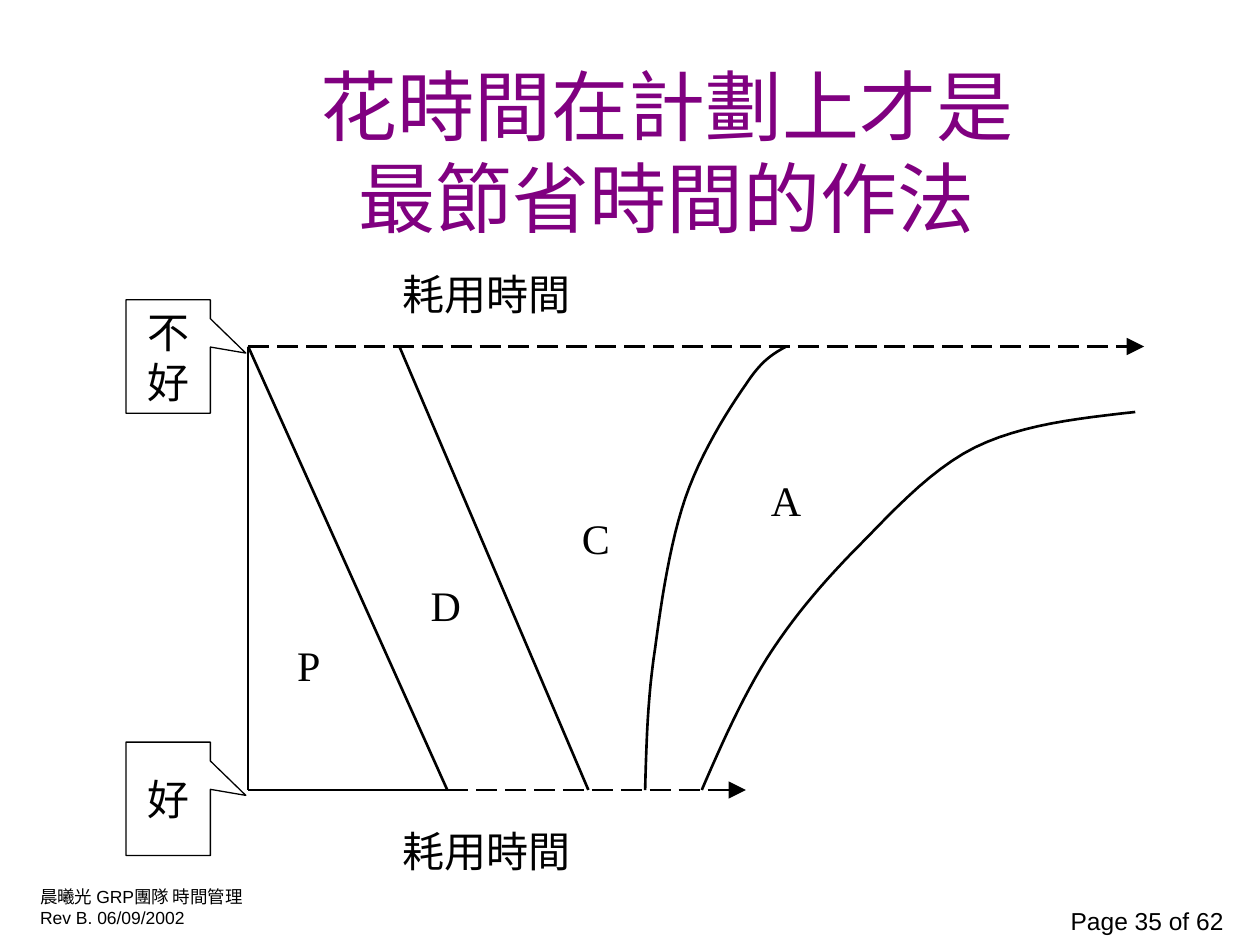
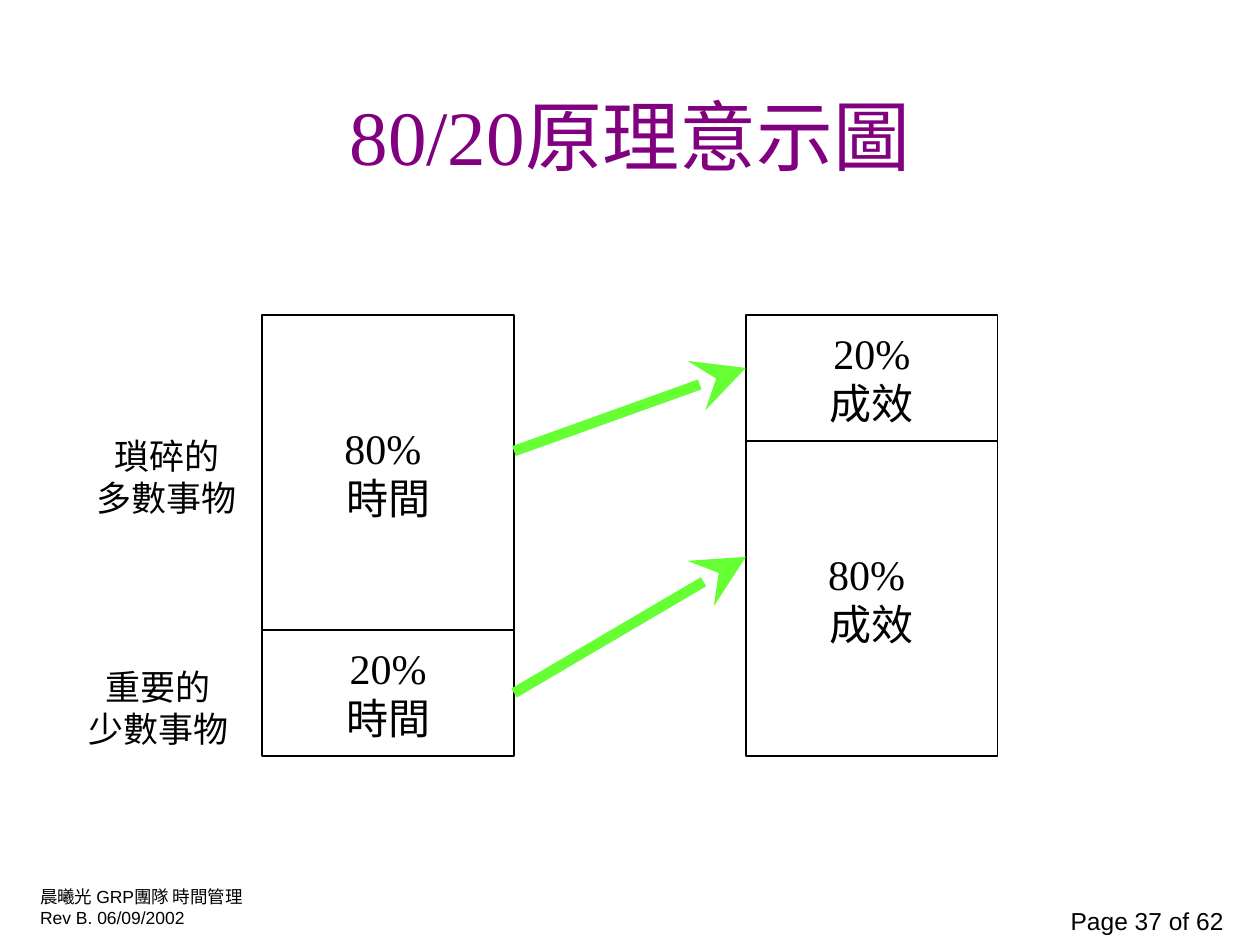
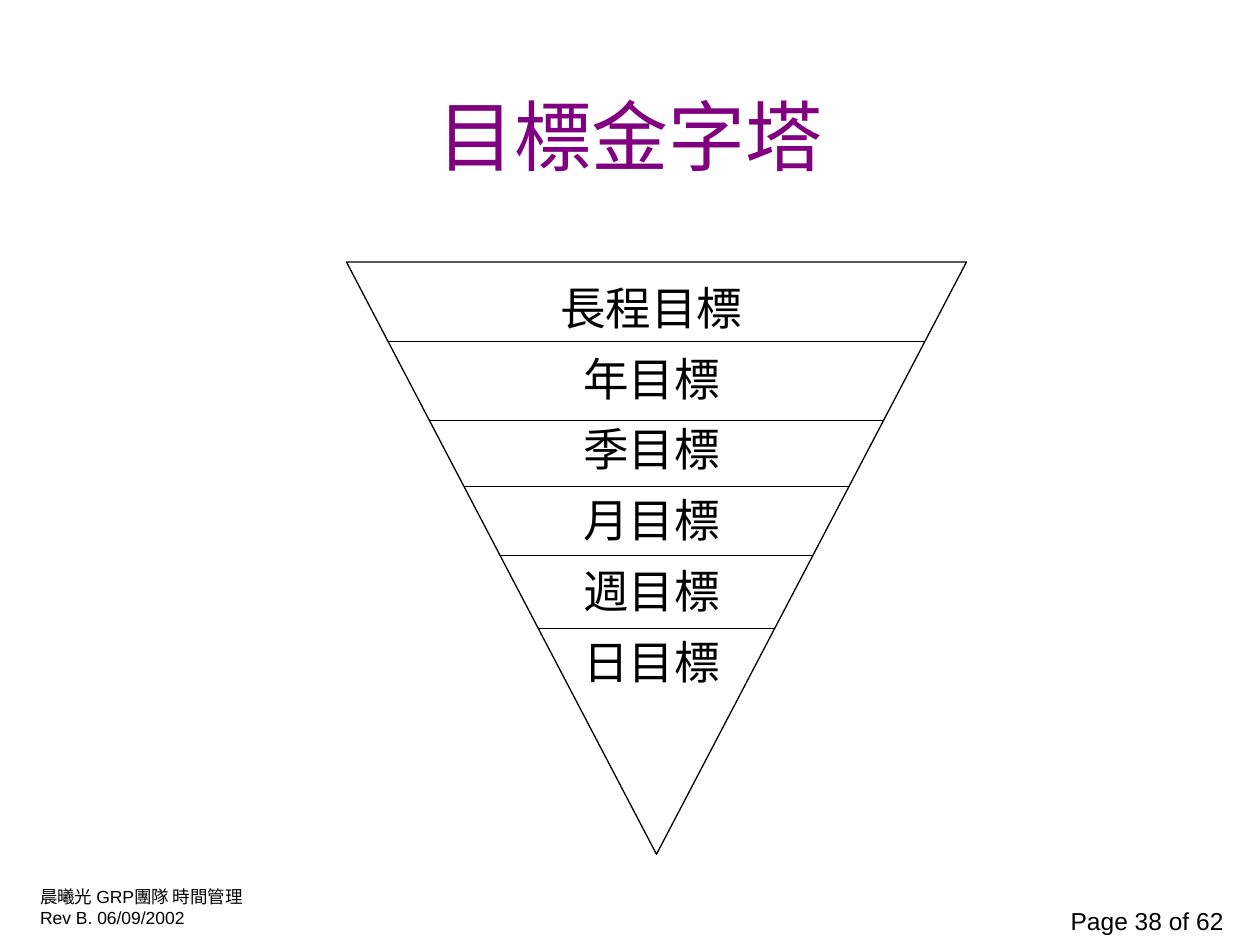
from dataclasses import dataclass

from lxml import etree
from pptx import Presentation
from pptx import util as u
from pptx.dml.color import RGBColor
from pptx.enum import dml, shapes, text
from pptx.oxml import ns


@dataclass(frozen=True)
class Theme:
    ink: str = "000000"
    title: str = "800080"
    arrow: str = "66FF33"
    serif: str = "Times New Roman"
    sans: str = "Arial"
    title_size: int = 44
    goal_size: int = 26
    label_size: int = 24
    side_size: int = 20
    page_size: int = 14
    footer_size: int = 10
    thin: float = 0.75
    medium: float = 1.5
    thick: float = 6


THEME = Theme()
LEFT, CENTER, RIGHT = text.PP_ALIGN.LEFT, text.PP_ALIGN.CENTER, text.PP_ALIGN.RIGHT
DASH = dml.MSO_LINE.LONG_DASH

FOOTER = ["晨曦光 GRP團隊 時間管理", "Rev B. 06/09/2002"]
PAGE_LABEL = "Page {} of 62"
TITLE_BOX = (0.75, 0.44, 8.5, 1.25)

AXIS_X, BAD_Y, GOOD_Y = 1.97, 2.75, 6.27
PLAN_END = 3.55
PHASE_EDGES = [
    ((AXIS_X, BAD_Y), (AXIS_X, GOOD_Y)),
    ((AXIS_X, GOOD_Y), (PLAN_END, GOOD_Y)),
    ((AXIS_X, BAD_Y), (PLAN_END, GOOD_Y)),
    ((3.17, BAD_Y), (4.67, GOOD_Y)),
]
TIME_ARROWS = [
    ((PLAN_END, GOOD_Y), (5.92, GOOD_Y)),
    ((AXIS_X, BAD_Y), (9.08, BAD_Y)),
]
PHASE_CURVES = [
    [(5.12, 6.27), (5.13, 5.9), (5.14, 5.53), (5.2, 5.14), (5.25, 4.76),
     (5.32, 4.3), (5.44, 3.95), (5.56, 3.6), (5.78, 3.25), (5.92, 3.05),
     (6.05, 2.85), (6.15, 2.8), (6.24, 2.75)],
    [(5.57, 6.27), (5.73, 5.9), (5.89, 5.54), (6.09, 5.22), (6.29, 4.91),
     (6.49, 4.67), (6.76, 4.39), (7.04, 4.11), (7.36, 3.74), (7.74, 3.55),
     (8.11, 3.37), (8.56, 3.32), (9.01, 3.27)],
]
CURVE_STEPS = 12
PHASE_LABELS = [
    ("P", (2.26, 5.03, 0.38, 0.5)),
    ("A", (6.02, 3.72, 0.44, 0.5)),
    ("D", (3.32, 4.55, 0.44, 0.5)),
    ("C", (4.52, 4.02, 0.42, 0.5)),
    ("耗用時間", (3.1, 6.5, 1.53, 0.5)),
    ("耗用時間", (3.1, 2.08, 1.53, 0.5)),
]
PLAN_CALLOUTS = [(["不", "好"], 2.38), (["好"], 5.89)]

STACK_TOP, STACK_WIDTH = 2.5, 2
TIME_X, RESULT_X = 2.08, 5.92
STACKS = [
    (TIME_X, [(["80% ", "時間"], 2.5), (["20%", "時間"], 1)]),
    (RESULT_X, [(["20%", "成效"], 1), (["80% ", "成效"], 2.5)]),
]
SIDE_LABELS = [
    (["重要的", "少數事物"], (0.6, 5.23, 1.31, 0.77)),
    (["瑣碎的", "多數事物"], (0.67, 3.4, 1.31, 0.77)),
]

GOALS = ["長程目標", "年目標", "季目標", "月目標", "週目標", "日目標"]
GOAL_BOX = (4.27, 2.04, 1.8, 3.48)
PYRAMID = (2.75, 2.08, 4.92, 4.7)
LEVEL_YS = [2.71, 3.34, 3.86, 4.41, 4.99]


def inches(values):
    return [u.Inches(value) for value in values]


def write(shape, lines, size, font=THEME.serif, color=THEME.ink, align=CENTER,
          anchor=text.MSO_ANCHOR.TOP, wrap=False, spacing=None):
    frame = shape.text_frame
    frame.word_wrap = wrap
    frame.vertical_anchor = anchor
    for index, line in enumerate(lines):
        para = frame.add_paragraph() if index else frame.paragraphs[0]
        para.text = line
        para.alignment = align
        if spacing:
            para.line_spacing = spacing
        para.font.size = u.Pt(size)
        para.font.name = font
        para.font.color.rgb = RGBColor.from_string(color)


def add_label(page, lines, area, size, **style):
    box = page.shapes.add_textbox(*inches(area))
    write(box, lines, size, **style)
    return box


def outline(shape, width):
    shape.shadow.inherit = False
    shape.fill.background()
    shape.line.color.rgb = RGBColor.from_string(THEME.ink)
    shape.line.width = u.Pt(width)


def add_outlined(page, kind, area):
    shape = page.shapes.add_shape(kind, *inches(area))
    outline(shape, THEME.thin)
    return shape


def add_line(page, start, end, width, color=THEME.ink, dash=None, head=None):
    line = page.shapes.add_connector(
        shapes.MSO_CONNECTOR.STRAIGHT, *inches(start + end))
    line.line.color.rgb = RGBColor.from_string(color)
    line.line.width = u.Pt(width)
    if dash:
        line.line.dash_style = dash
    properties = line._element.spPr
    if head:
        stroke = properties.find(ns.qn("a:ln"))
        etree.SubElement(stroke, ns.qn("a:tailEnd"), type=head, w="lg", len="lg")
    etree.SubElement(properties, ns.qn("a:effectLst"))
    return line


def bezier_points(controls):
    points = [controls[0]]
    for first in range(0, len(controls) - 1, 3):
        segment = controls[first:first + 4]
        for step in range(1, CURVE_STEPS + 1):
            t = step / CURVE_STEPS
            weights = ((1 - t) ** 3, 3 * t * (1 - t) ** 2, 3 * t * t * (1 - t), t ** 3)
            points.append(tuple(
                sum(weight * point[axis] for weight, point in zip(weights, segment))
                for axis in (0, 1)))
    return points


def add_curve(page, controls):
    start, *rest = [inches(point) for point in bezier_points(controls)]
    builder = page.shapes.build_freeform(*start)
    builder.add_line_segments(rest, close=False)
    outline(builder.convert_to_shape(), THEME.medium)


def add_page(deck, number, title, title_box=TITLE_BOX):
    page = deck.slides.add_slide(deck.slide_layouts[6])
    add_label(page, [PAGE_LABEL.format(number)], (8.39, 7.14, 1.42, 0.33),
              THEME.page_size, font=THEME.sans, align=RIGHT)
    add_label(page, FOOTER, (0.22, 6.98, 1.88, 0.44),
              THEME.footer_size, font=THEME.sans, align=LEFT)
    add_label(page, [title], title_box, THEME.title_size, color=THEME.title,
              anchor=text.MSO_ANCHOR.MIDDLE, wrap=True)
    return page


def build_planning(deck):
    page = add_page(deck, 35, "花時間在計劃上才是\n最節省時間的作法",
                    (0.92, 0.57, 8.75, 1.25))
    for start, end in PHASE_EDGES:
        add_line(page, start, end, THEME.medium)
    for start, end in TIME_ARROWS:
        add_line(page, start, end, THEME.medium, dash=DASH, head="triangle")
    for controls in PHASE_CURVES:
        add_curve(page, controls)
    for label, area in PHASE_LABELS:
        add_label(page, [label], area, THEME.label_size, align=LEFT)
    for lines, top in PLAN_CALLOUTS:
        callout = add_outlined(page, shapes.MSO_SHAPE.RECTANGULAR_CALLOUT,
                               (1, top, 0.67, 0.9))
        callout.adjustments[0] = 0.92
        callout.adjustments[1] = -0.03
        write(callout, lines, THEME.label_size, anchor=text.MSO_ANCHOR.MIDDLE)


def build_ratio(deck):
    page = add_page(deck, 37, "80/20原理意示圖")
    blocks = []
    for left, parts in STACKS:
        top = STACK_TOP
        for lines, height in parts:
            block = add_outlined(page, shapes.MSO_SHAPE.RECTANGLE,
                                 (left, top, STACK_WIDTH, height))
            write(block, lines, THEME.label_size, anchor=text.MSO_ANCHOR.MIDDLE)
            blocks.append(block)
            top += height
    for lines, area in SIDE_LABELS:
        add_label(page, lines, area, THEME.side_size)
    time_edge = TIME_X + STACK_WIDTH
    vital, trivial = [
        add_line(page, (time_edge, start_y), (RESULT_X, end_y), THEME.thick,
                 color=THEME.arrow, head="stealth")
        for start_y, end_y in [(5.5, 4.42), (3.58, 2.92)]]
    vital.begin_connect(blocks[1], 3)


def build_pyramid(deck):
    page = add_page(deck, 38, "目標金字塔")
    triangle = add_outlined(page, shapes.MSO_SHAPE.ISOSCELES_TRIANGLE, PYRAMID)
    triangle.rotation = 180
    add_label(page, GOALS, GOAL_BOX, THEME.goal_size, spacing=1.3)
    left, top, width, height = PYRAMID
    for y in LEVEL_YS:
        inset = (y - top) / height * width / 2
        add_line(page, (left + inset, y), (left + width - inset, y), THEME.thin)


def main():
    deck = Presentation()
    deck.slide_width, deck.slide_height = inches((10, 7.5))
    build_planning(deck)
    build_ratio(deck)
    build_pyramid(deck)
    deck.save("out.pptx")


if __name__ == "__main__":
    main()
